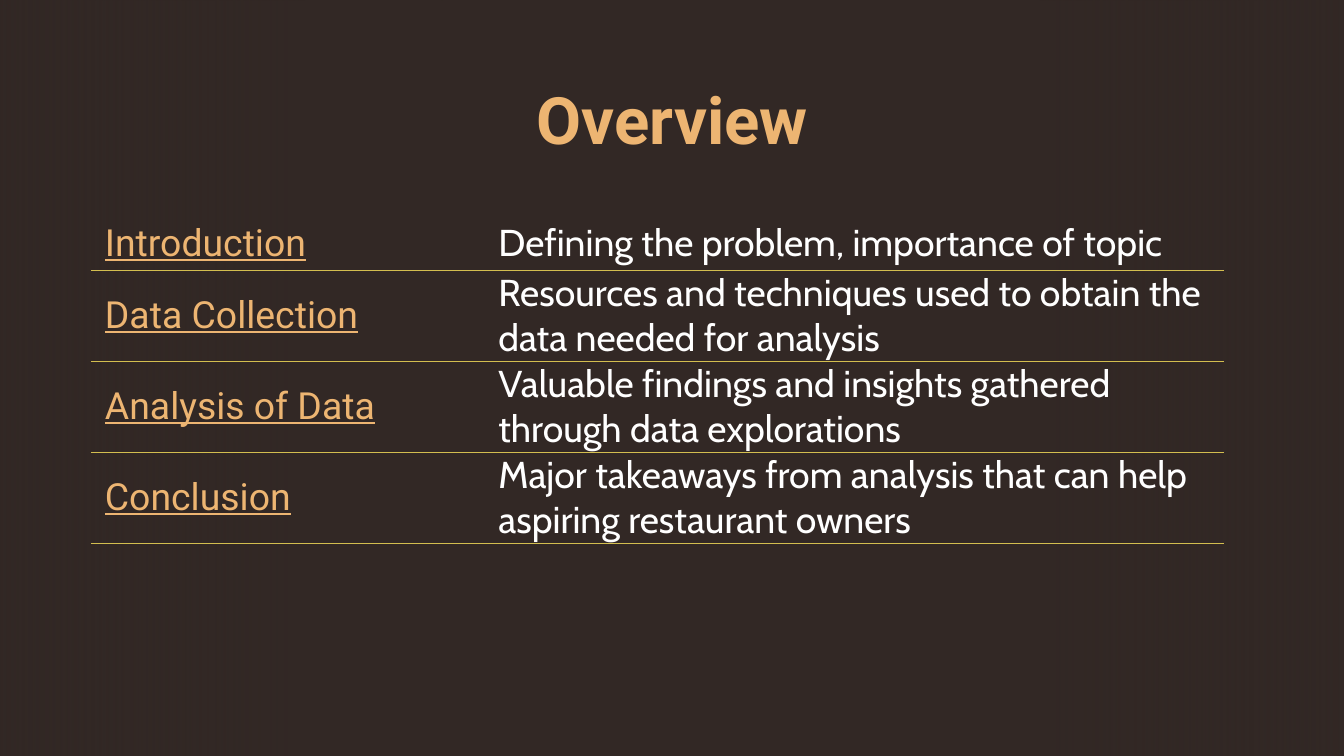
from lxml import etree
from pptx import Presentation
from pptx.dml.color import RGBColor
from pptx.enum.shapes import MSO_SHAPE
from pptx.enum.text import MSO_ANCHOR, PP_ALIGN
from pptx.oxml.ns import qn
from pptx.util import Pt

RECTANGLE = MSO_SHAPE.RECTANGLE
MIDDLE, TOP = MSO_ANCHOR.MIDDLE, MSO_ANCHOR.TOP
CENTER, LEFT = PP_ALIGN.CENTER, PP_ALIGN.LEFT

BROWN = RGBColor(0x32, 0x28, 0x25)
APRICOT = RGBColor(0xED, 0xB5, 0x72)
WHITE = RGBColor(0xFF, 0xFF, 0xFF)
GOLD = RGBColor(0xD3, 0xBE, 0x4F)

# Content
TITLE = "Overview"
SECTIONS = [
    ("Introduction", "Defining the problem, importance of topic"),
    ("Data Collection",
     "Resources and techniques used to obtain the data needed for analysis"),
    ("Analysis of Data",
     "Valuable findings and insights gathered through data explorations"),
    ("Conclusion",
     "Major takeaways from analysis that can help aspiring restaurant owners"),
]
COLUMN_WIDTHS = (210.8, 395.9)
ROW_HEIGHTS = (28.8, 48.75, 48.75, 48.75)
SHADES = [(38.2, 90, False), (275, 270, True)]  # left, rotation, mirrored
SHADE_STOPS = [(0, 100), (66, 100), (100, 0)]  # position, opacity in percent


def write(frame, text, *, font, size, color, bold=False, underline=False,
          align=LEFT):
    paragraph = frame.paragraphs[0]
    paragraph.alignment = align
    run = paragraph.add_run()
    run.text = text
    run.font.name, run.font.size = font, Pt(size)
    run.font.bold, run.font.underline = bold, underline
    run.font.color.rgb = color


def fade(shape):
    """Fill a shape with the background brown, fading out at one end."""
    shape.fill.gradient()
    shape.fill.gradient_angle = 270  # counter-clockwise: top to bottom
    stops = shape._element.spPr.find(f".//{qn('a:gsLst')}")
    for stop in list(stops):
        stops.remove(stop)
    for position, opacity in SHADE_STOPS:
        stop = etree.SubElement(stops, qn("a:gs"), pos=str(position * 1000))
        color = etree.SubElement(stop, qn("a:srgbClr"), val=str(BROWN))
        etree.SubElement(color, qn("a:alpha"), val=str(opacity * 1000))


def set_borders(cell, ruled_sides):
    """Draw gold rules on the given sides and leave the others bare."""
    properties = cell._tc.get_or_add_tcPr()
    for index, side in enumerate(("lnL", "lnR", "lnT", "lnB")):
        line = etree.Element(qn(f"a:{side}"), w=str(Pt(0.75)))
        if side in ruled_sides:
            fill = etree.SubElement(line, qn("a:solidFill"))
            etree.SubElement(fill, qn("a:srgbClr"), val=str(GOLD))
        else:
            etree.SubElement(line, qn("a:noFill"))
        properties.insert(index, line)


deck = Presentation()
deck.slide_width, deck.slide_height = Pt(720), Pt(405)
slide = deck.slides.add_slide(deck.slide_layouts[6])
slide.background.fill.solid()
slide.background.fill.fore_color.rgb = BROWN

# Background shading from both sides
for left, rotation, mirrored in SHADES:
    shade = slide.shapes.add_shape(
        RECTANGLE, Pt(left), Pt(-38.9), Pt(406), Pt(483))
    shade.rotation = rotation
    shade.shadow.inherit = False
    shade.line.fill.background()
    fade(shade)
    if mirrored:
        shade._element.spPr.find(qn("a:xfrm")).set("flipH", "1")

# Title
heading = slide.shapes.add_textbox(
    Pt(56.7), Pt(35.3), Pt(607), Pt(45.4)).text_frame
heading.word_wrap = True
heading.vertical_anchor = TOP
heading.margin_left = heading.margin_right = Pt(7.2)
heading.margin_top = heading.margin_bottom = Pt(7.2)
write(heading, TITLE, font="Roboto", size=35, color=APRICOT, bold=True,
      align=CENTER)

# Table of sections
overview = slide.shapes.add_table(
    len(SECTIONS), len(COLUMN_WIDTHS), Pt(49), Pt(116),
    Pt(sum(COLUMN_WIDTHS)), Pt(sum(ROW_HEIGHTS))).table
overview.first_row = overview.horz_banding = False
for column, width in zip(overview.columns, COLUMN_WIDTHS):
    column.width = Pt(width)
for row, height in zip(overview.rows, ROW_HEIGHTS):
    row.height = Pt(height)

COLUMN_STYLES = (
    dict(font="Roboto", color=APRICOT, underline=True),
    dict(font="Cabin", color=WHITE),
)
for r, section in enumerate(SECTIONS):
    for c, text in enumerate(section):
        cell = overview.cell(r, c)
        cell.fill.background()
        cell.vertical_anchor = MIDDLE
        cell.margin_left = cell.margin_right = Pt(7.2)
        cell.margin_top = cell.margin_bottom = 0
        write(cell.text_frame, text, size=20, **COLUMN_STYLES[c])
        set_borders(cell, ("lnT", "lnB") if r else ("lnB",))

deck.save("out.pptx")
